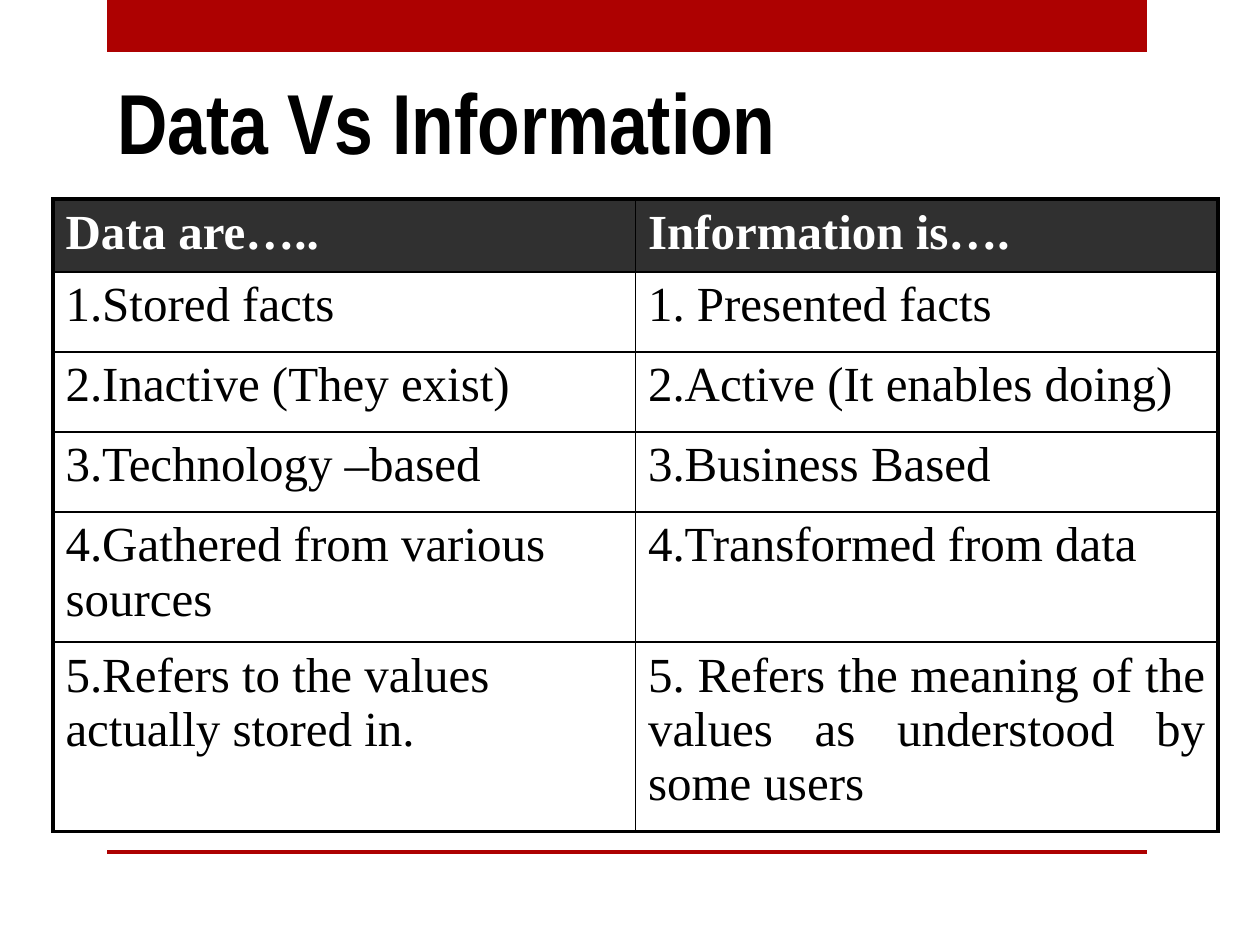
from lxml import etree
from pptx import Presentation
from pptx.dml.color import RGBColor
from pptx.enum.shapes import MSO_SHAPE as Shape
from pptx.enum.text import MSO_ANCHOR as Anchor, PP_ALIGN as Align
from pptx.oxml.ns import qn
from pptx.util import Emu, Pt

EMU_PER_PX = 914400 / 126
RED, BLACK, WHITE, CHARCOAL = "AD0101", "000000", "FFFFFF", "303030"
OUTER, INNER = 2.25, 1

ROWS = [
    ("Data are…..", "Information is…."),
    ("1.Stored facts", "1. Presented facts"),
    ("2.Inactive (They exist)", "2.Active (It enables doing)"),
    ("3.Technology –based", "3.Business Based"),
    ("4.Gathered from various sources", "4.Transformed from data"),
    ("5.Refers to the values actually stored in.",
     "5. Refers the meaning of the values as understood by some users"),
]
ROW_HEIGHTS = [73, 80, 80, 80, 130, 189]


def px(length):
    return Emu(round(length * EMU_PER_PX))


def box_emu(box):
    return [px(length) for length in box]


def color(hex_string):
    return RGBColor.from_string(hex_string)


def style(paragraph, name, size, hex_string, bold):
    font = paragraph.font
    font.name, font.size, font.bold = name, Pt(size), bold
    font.color.rgb = color(hex_string)


def add_bar(slide, box):
    bar = slide.shapes.add_shape(Shape.RECTANGLE, *box_emu(box))
    bar.shadow.inherit = False
    bar.fill.solid()
    bar.fill.fore_color.rgb = color(RED)
    bar.line.fill.background()


def add_frame(slide, box, top_height, bottom_height):
    """Place a thick bar at the top of the box and a thin one at its bottom."""
    left, top, width, height = box
    add_bar(slide, (left, top, width, top_height))
    add_bar(slide, (left, top + height - bottom_height, width, bottom_height))


def add_title(slide, box, text):
    frame = slide.shapes.add_textbox(*box_emu(box)).text_frame
    frame.word_wrap = True
    frame.vertical_anchor = Anchor.BOTTOM
    paragraph = frame.paragraphs[0]
    paragraph.text = text
    style(paragraph, "Arial Narrow", 48.6, BLACK, True)


def set_borders(cell, widths):
    """Draw borders with widths in points, keyed L, R, T and B in that order."""
    properties = cell._tc.get_or_add_tcPr()
    for side, width in widths.items():
        line = etree.SubElement(properties, qn(f"a:ln{side}"), w=str(Pt(width)))
        fill = etree.SubElement(line, qn("a:solidFill"))
        etree.SubElement(fill, qn("a:srgbClr"), val=BLACK)


def add_comparison(slide, box, rows, heights):
    column_count = len(rows[0])
    table = slide.shapes.add_table(len(rows), column_count, *box_emu(box)).table
    table.horz_banding = False
    for column in table.columns:
        column.width = px(box[2] / column_count)
    for row, height in zip(table.rows, heights):
        row.height = px(height)

    last_row, last_column = len(rows) - 1, column_count - 1
    for r, texts in enumerate(rows):
        for c, text in enumerate(texts):
            header = r == 0
            cell = table.cell(r, c)
            set_borders(cell, {
                "L": OUTER if c == 0 else INNER,
                "R": OUTER if c == last_column else INNER,
                "T": OUTER if header else INNER,
                "B": OUTER if r == last_row else INNER,
            })
            if header:
                cell.fill.solid()
                cell.fill.fore_color.rgb = color(CHARCOAL)
            else:
                cell.fill.background()
            paragraph = cell.text_frame.paragraphs[0]
            paragraph.text = text
            justified = c == last_column and not header
            paragraph.alignment = Align.JUSTIFY if justified else Align.LEFT
            style(paragraph, "Times New Roman", 28, WHITE if header else BLACK, header)


def main():
    presentation = Presentation()
    presentation.slide_width, presentation.slide_height = px(1260), px(945)
    slide = presentation.slides.add_slide(presentation.slide_layouts[6])
    add_frame(slide, (107, 0, 1040, 854), top_height=52, bottom_height=4)
    add_title(slide, (105, 73, 935, 105), "Data Vs Information")
    add_comparison(slide, (53, 199, 1165, sum(ROW_HEIGHTS)), ROWS, ROW_HEIGHTS)
    presentation.save("out.pptx")


if __name__ == "__main__":
    main()
